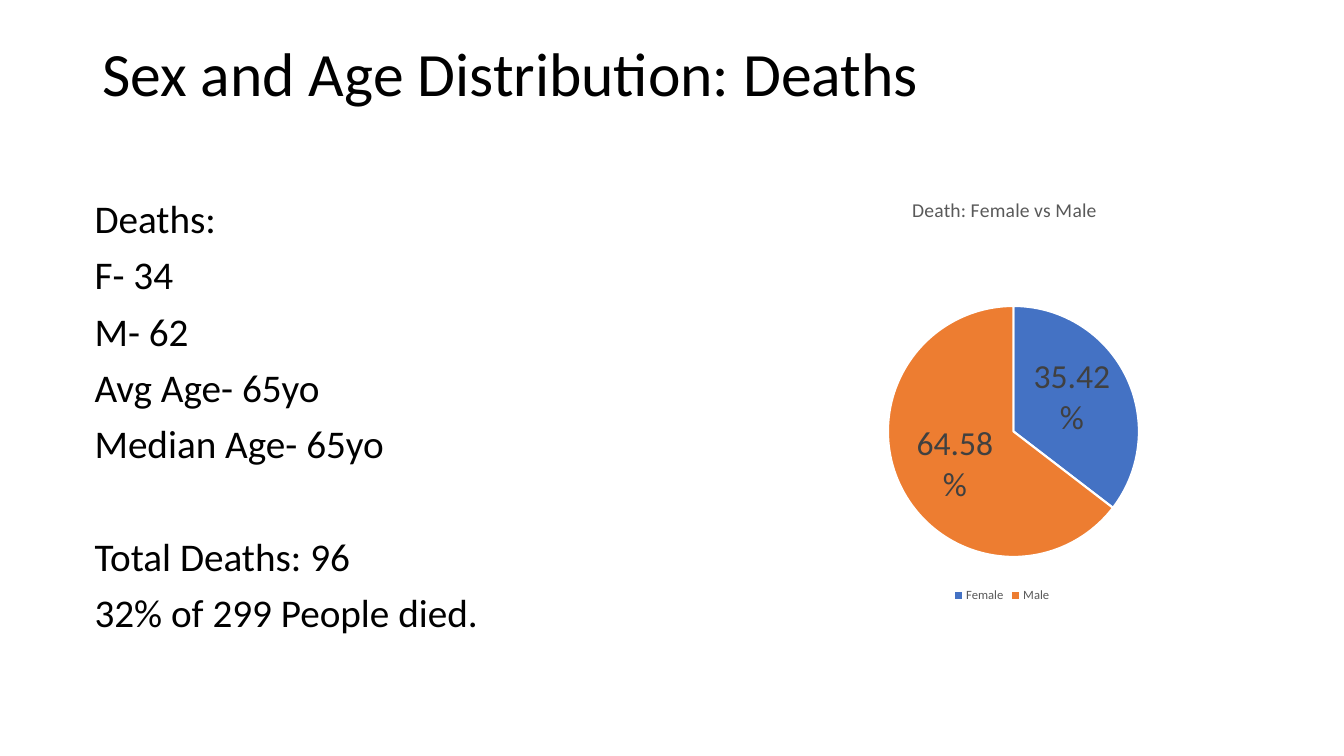
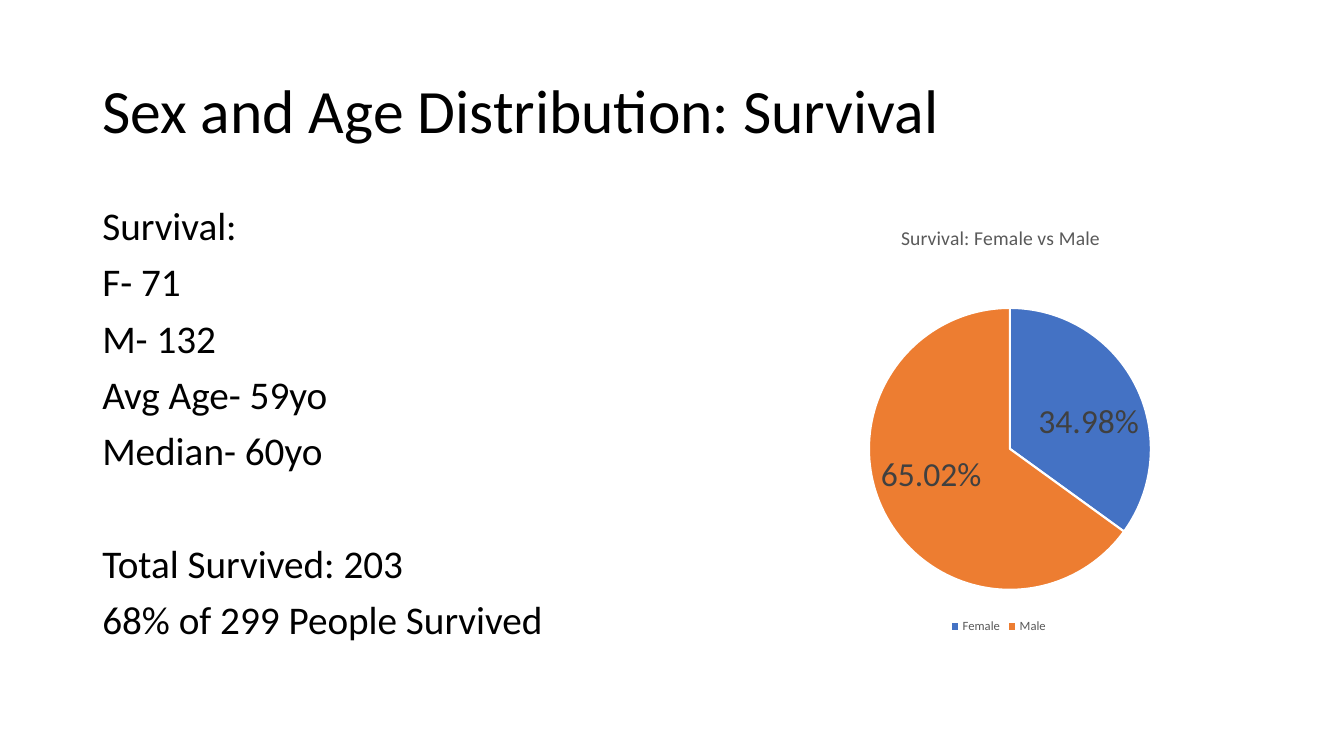
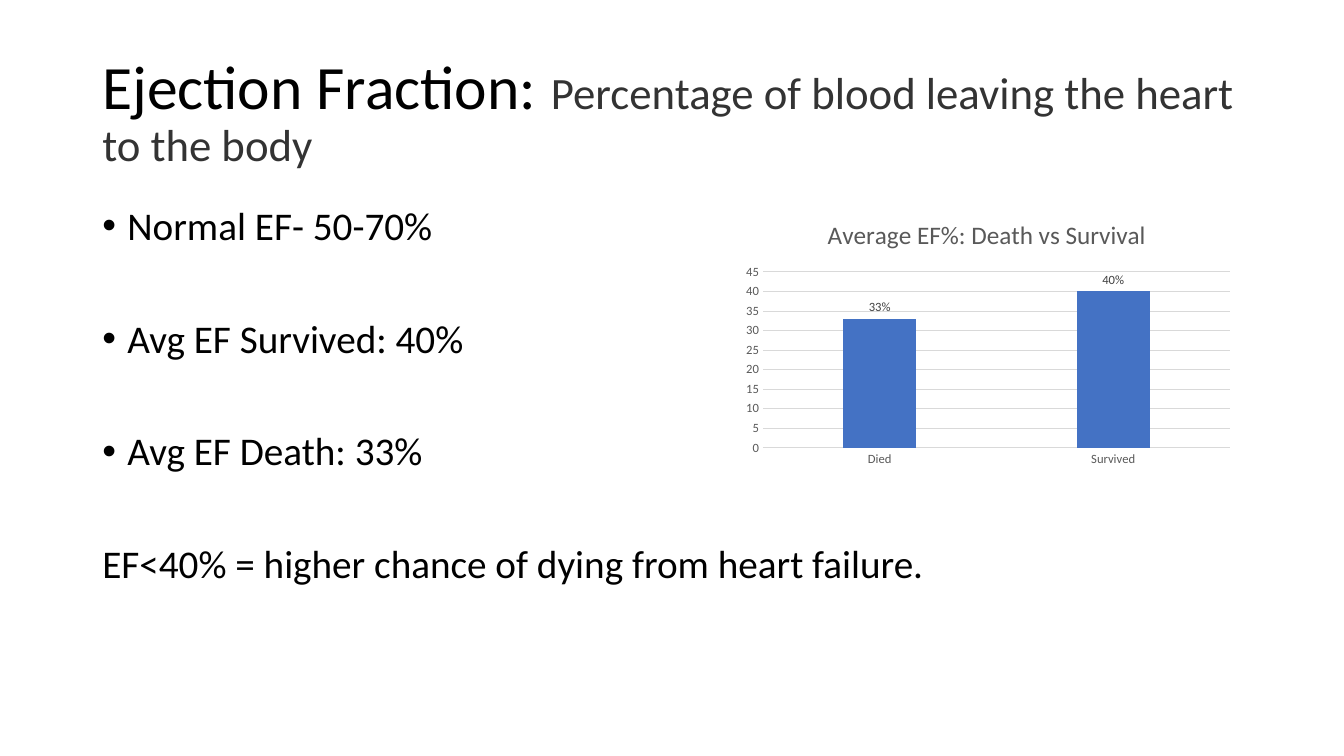
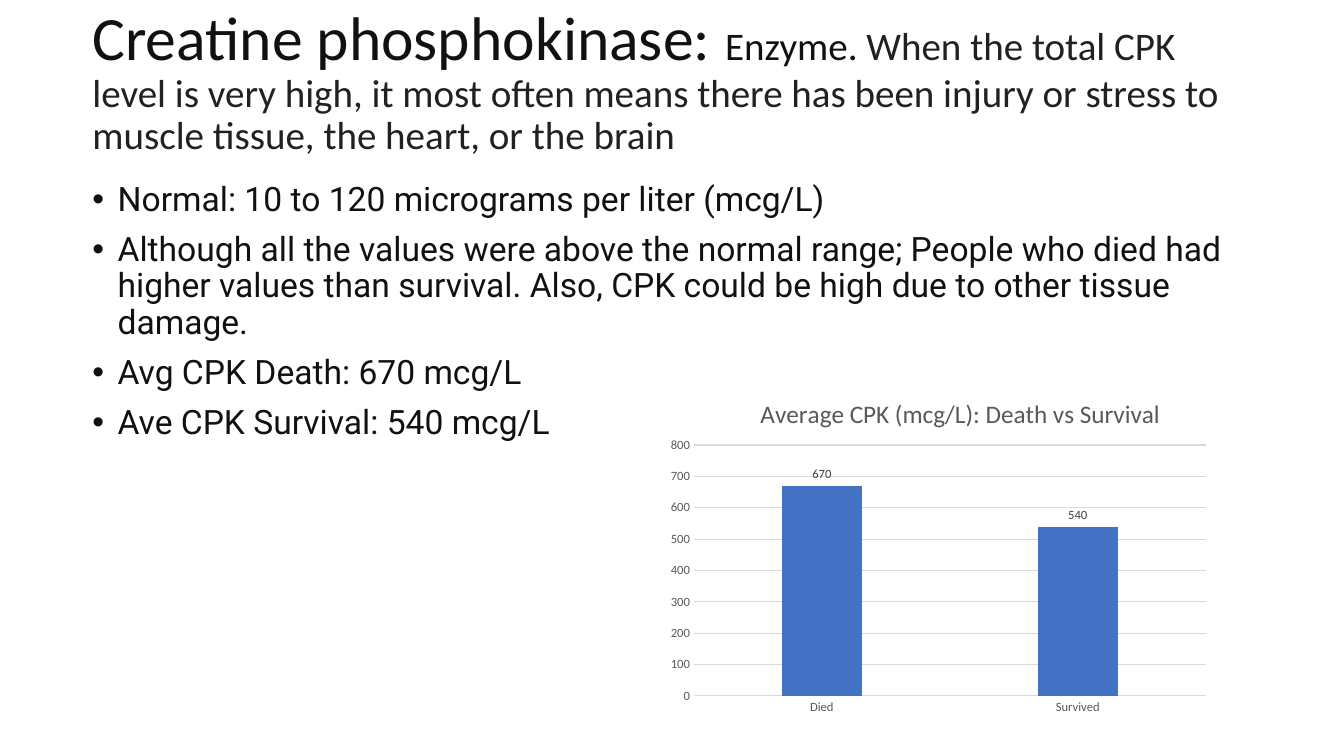
from dataclasses import dataclass

from lxml import etree
from pptx import Presentation
from pptx.chart.data import CategoryChartData
from pptx.dml.color import RGBColor
from pptx.enum.chart import XL_CHART_TYPE, XL_LABEL_POSITION, XL_LEGEND_POSITION, XL_TICK_MARK
from pptx.enum.text import MSO_ANCHOR
from pptx.oxml.ns import qn
from pptx.util import Pt

PIE = XL_CHART_TYPE.PIE
COLUMN = XL_CHART_TYPE.COLUMN_CLUSTERED
BEST_FIT = XL_LABEL_POSITION.BEST_FIT
OUTSIDE_END = XL_LABEL_POSITION.OUTSIDE_END
LEGEND_BOTTOM = XL_LEGEND_POSITION.BOTTOM
NO_TICK = XL_TICK_MARK.NONE
MIDDLE = MSO_ANCHOR.MIDDLE


@dataclass(frozen=True)
class Theme:
    font: str = "Calibri"
    black: str = "000000"
    white: str = "FFFFFF"
    ink: str = "111111"
    dark: str = "202124"
    subtitle: str = "333333"
    label: str = "404040"
    muted: str = "595959"
    grid: str = "D9D9D9"
    blue: str = "4472C4"
    orange: str = "ED7D31"
    title_size: float = 44
    subtitle_size: float = 32
    definition_size: float = 27.9
    body_size: float = 28
    small_body_size: float = 24
    pie_title_size: float = 14
    column_title_size: float = 18
    pie_label_size: float = 24
    axis_size: float = 9


THEME = Theme()
SLIDE_SIZE = (960, 540)
TEXT_WIDTH, TITLE_HEIGHT, BODY_HEIGHT = 828, 104.4, 343
SPACE, WIDE_SPACE = 10, 50.2
INDENT = 18

# Title runs are (text, size, colour); body lines are (text, bulleted, space before).
# Boxes are (left, top, width, height) on the slide; title_at is (left, top).
SLIDES = [
    {
        "title": [("Sex and Age Distribution: Deaths", THEME.title_size, THEME.black)],
        "title_corner": (66, 2.5),
        "body": [
            ("Deaths:", False, SPACE),
            ("F- 34", False, SPACE),
            ("M- 62", False, SPACE),
            ("Avg Age- 65yo", False, SPACE),
            ("Median Age- 65yo", False, SPACE),
            ("Total Deaths: 96", False, WIDE_SPACE),
            ("32% of 299 People died.", False, SPACE),
        ],
        "body_corner": (60.5, 139),
        "chart": {
            "kind": PIE, "title": "Death: Female vs Male", "title_at": (649, 138),
            "values": {"Female": 0.3542, "Male": 0.6458},
            "box": (504.7, 123.8, 422, 309.6), "plot": (634.3, 218.6, 179.3, 179.3),
        },
    },
    {
        "title": [("Sex and Age Distribution: Survival", THEME.title_size, THEME.black)],
        "title_corner": (66, 28.8),
        "body": [
            ("Survival:", False, SPACE),
            ("F- 71", False, SPACE),
            ("M- 132", False, SPACE),
            ("Avg Age- 59yo", False, SPACE),
            ("Median- 60yo", False, SPACE),
            ("Total Survived: 203", False, WIDE_SPACE),
            ("68% of 299 People Survived", False, SPACE),
        ],
        "body_corner": (66, 144),
        "chart": {
            "kind": PIE, "title": "Survival: Female vs Male", "title_at": (641, 157.7),
            "values": {"Female": 0.3498, "Male": 0.6502},
            "box": (499, 144, 428.4, 311.8), "plot": (620.7, 220, 201.4, 201.4),
        },
    },
    {
        "title": [
            ("Ejection Fraction: ", THEME.title_size, THEME.black),
            ("Percentage of blood leaving the heart to the body",
             THEME.subtitle_size, THEME.subtitle),
        ],
        "title_corner": (66, 28.8),
        "body": [
            ("Normal EF- 50-70%", True, SPACE),
            ("Avg EF Survived: 40%", True, WIDE_SPACE),
            ("Avg EF Death: 33%", True, WIDE_SPACE),
            ("EF<40% = higher chance of dying from heart failure.", False, WIDE_SPACE),
        ],
        "body_corner": (66, 144),
        "chart": {
            "kind": COLUMN, "title": "Average EF%: Death vs Survival", "title_at": (588, 152),
            "values": {"Died": 33, "Survived": 40}, "format": '0"%"',
            "maximum": 45, "step": 5,
            "box": (525.6, 122.4, 360, 216), "plot": (545, 194.3, 333.6, 125.7),
        },
    },
    {
        "title": [
            ("Creatine phosphokinase: ", THEME.title_size, THEME.ink),
            ("Enzyme. ", THEME.definition_size, THEME.ink),
            ("When the total CPK level is very high, it most often means there has been "
             "injury or stress to muscle tissue, the heart, or the brain",
             THEME.definition_size, THEME.dark),
        ],
        "title_corner": (59, 7),
        "body": [
            ("Normal: 10 to 120 micrograms per liter (mcg/L)", True, SPACE),
            ("Although all the values were above the normal range; People who died had "
             "higher values than survival. Also, CPK could be high due to other tissue "
             "damage.", True, SPACE),
            ("Avg CPK Death: 670 mcg/L", True, SPACE),
            ("Ave CPK Survival: 540 mcg/L", True, SPACE),
        ],
        "body_corner": (59, 126.7),
        "body_style": (THEME.small_body_size, THEME.ink, "Roboto"),
        "chart": {
            "kind": COLUMN, "title": "Average CPK (mcg/L): Death vs Survival",
            "title_at": (540, 280),
            "values": {"Died": 670, "Survived": 540}, "format": "0",
            "maximum": 800, "step": 100,
            "box": (471.6, 244.1, 397.4, 272.2), "plot": (495.7, 317.9, 365.7, 179.3),
        },
    },
]


def style_font(font, size, color, name=THEME.font):
    font.size = Pt(size)
    font.name = name
    font.color.rgb = RGBColor.from_string(color)


def add_text_frame(slide, corner, height):
    left, top = corner
    frame = slide.shapes.add_textbox(Pt(left), Pt(top), Pt(TEXT_WIDTH), Pt(height)).text_frame
    frame.word_wrap = True
    return frame


def add_title(slide, runs, corner):
    frame = add_text_frame(slide, corner, TITLE_HEIGHT)
    frame.vertical_anchor = MIDDLE
    paragraph = frame.paragraphs[0]
    paragraph.line_spacing = 0.9
    for text, size, color in runs:
        run = paragraph.add_run()
        run.text = text
        style_font(run.font, size, color)


def add_bullet(paragraph):
    properties = paragraph._p.get_or_add_pPr()
    properties.set("marL", str(Pt(INDENT)))
    properties.set("indent", str(-Pt(INDENT)))
    etree.SubElement(properties, qn("a:buFont")).set("typeface", "Arial")
    etree.SubElement(properties, qn("a:buChar")).set("char", "•")


def add_body(slide, lines, corner, style):
    frame = add_text_frame(slide, corner, BODY_HEIGHT)
    for index, (text, bulleted, space) in enumerate(lines):
        paragraph = frame.add_paragraph() if index else frame.paragraphs[0]
        paragraph.text = text
        paragraph.line_spacing = 0.9
        paragraph.space_before = Pt(space)
        if bulleted:
            add_bullet(paragraph)
        style_font(paragraph.font, *style)


def set_layout(parent, box, area, inner=False):
    """Fix a chart part at an area of the slide, as fractions of the chart box."""
    for old in parent.findall(qn("c:layout")):
        parent.remove(old)
    layout = etree.Element(qn("c:layout"))
    manual = etree.SubElement(layout, qn("c:manualLayout"))
    settings = [("layoutTarget", "inner")] if inner else []
    settings += [("xMode", "edge"), ("yMode", "edge")]
    settings += [("x", round((area[0] - box[0]) / box[2], 4)),
                 ("y", round((area[1] - box[1]) / box[3], 4))]
    if inner:
        settings += [("w", round(area[2] / box[2], 4)), ("h", round(area[3] / box[3], 4))]
    for tag, value in settings:
        etree.SubElement(manual, qn(f"c:{tag}")).set("val", str(value))
    text = parent.find(qn("c:tx"))
    if text is None:
        parent.insert(0, layout)
    else:
        text.addnext(layout)


def style_labels(plot, size, number_format, position):
    plot.has_data_labels = True
    labels = plot.data_labels
    labels.show_value = True
    labels.show_percentage = False
    labels.number_format = number_format
    labels.number_format_is_linked = False
    labels.position = position
    style_font(labels.font, size, THEME.label)


def style_pie(chart):
    plot = chart.plots[0]
    plot.vary_by_categories = True
    for index, color in enumerate((THEME.blue, THEME.orange)):
        point = plot.series[0].points[index].format
        point.fill.solid()
        point.fill.fore_color.rgb = RGBColor.from_string(color)
        point.line.color.rgb = RGBColor.from_string(THEME.white)
        point.line.width = Pt(1.5)
    style_labels(plot, THEME.pie_label_size, "0.00%", BEST_FIT)
    chart.has_legend = True
    chart.legend.position = LEGEND_BOTTOM
    chart.legend.include_in_layout = False
    style_font(chart.legend.font, THEME.axis_size, THEME.muted)


def style_columns(chart, content):
    plot = chart.plots[0]
    plot.vary_by_categories = False
    plot.gap_width, plot.overlap = 219, -27
    fill = plot.series[0].format.fill
    fill.solid()
    fill.fore_color.rgb = RGBColor.from_string(THEME.blue)
    style_labels(plot, THEME.axis_size, content["format"], OUTSIDE_END)
    chart.has_legend = False
    category_axis, value_axis = chart.category_axis, chart.value_axis
    for axis in (category_axis, value_axis):
        axis.major_tick_mark = axis.minor_tick_mark = NO_TICK
        style_font(axis.tick_labels.font, THEME.axis_size, THEME.muted)
    value_axis.minimum_scale = 0
    value_axis.maximum_scale = content["maximum"]
    value_axis.major_unit = content["step"]
    value_axis.format.line.fill.background()
    for line in (category_axis.format.line, value_axis.major_gridlines.format.line):
        line.color.rgb = RGBColor.from_string(THEME.grid)
        line.width = Pt(0.75)


def add_chart(slide, content):
    data = CategoryChartData()
    data.categories = list(content["values"])
    data.add_series("Series 1", list(content["values"].values()))
    box = content["box"]
    chart = slide.shapes.add_chart(content["kind"], *map(Pt, box), data).chart
    style_font(chart.font, 10, THEME.black)
    is_pie = content["kind"] == PIE
    chart.has_title = True
    paragraph = chart.chart_title.text_frame.paragraphs[0]
    paragraph.text = content["title"]
    style_font(paragraph.font, THEME.pie_title_size if is_pie else THEME.column_title_size,
               THEME.muted)
    paragraph.font.bold = False
    if is_pie:
        style_pie(chart)
    else:
        style_columns(chart, content)
    chart_space = chart._chartSpace
    set_layout(chart_space.find(".//" + qn("c:title")), box, content["title_at"])
    set_layout(chart_space.find(".//" + qn("c:plotArea")), box, content["plot"], inner=True)


def main():
    presentation = Presentation()
    presentation.slide_width, presentation.slide_height = map(Pt, SLIDE_SIZE)
    blank = presentation.slide_layouts[6]
    body_style = (THEME.body_size, THEME.black, THEME.font)
    for content in SLIDES:
        slide = presentation.slides.add_slide(blank)
        add_title(slide, content["title"], content["title_corner"])
        add_body(slide, content["body"], content["body_corner"],
                 content.get("body_style", body_style))
        add_chart(slide, content["chart"])
    presentation.save("out.pptx")


if __name__ == "__main__":
    main()
